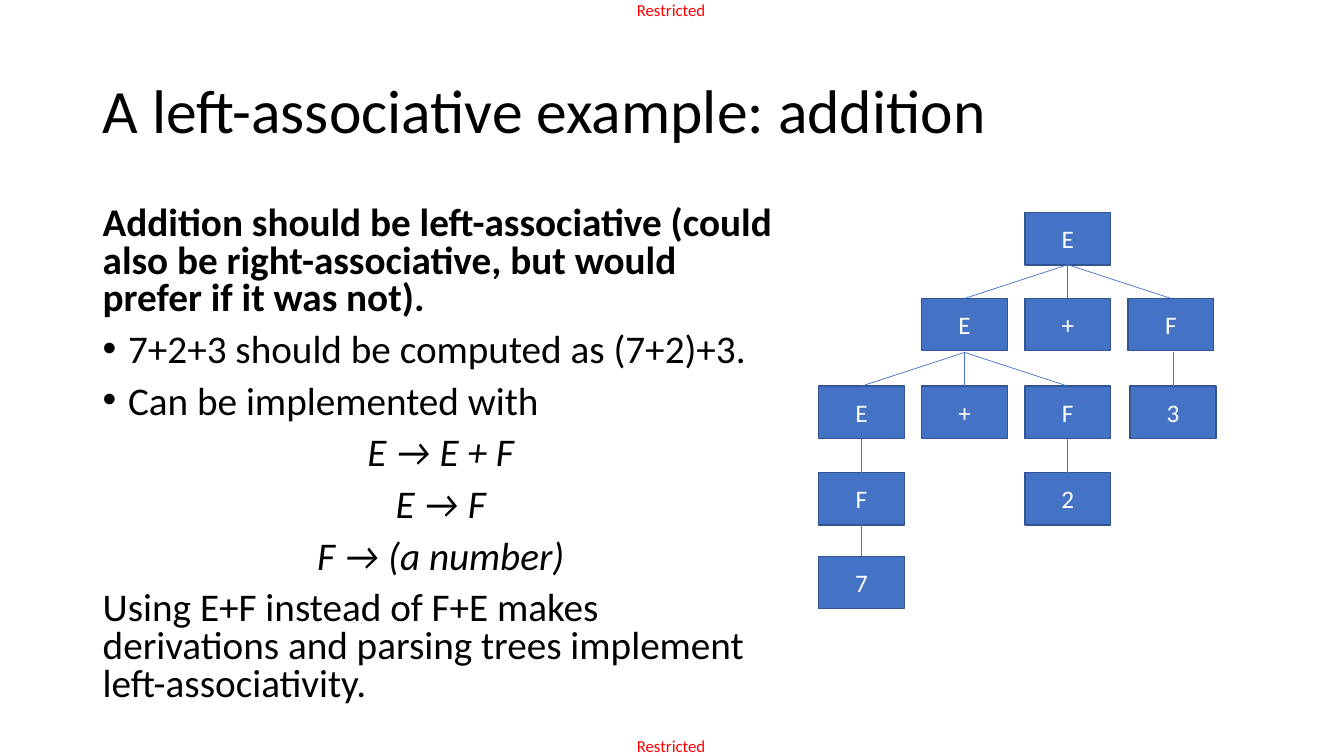
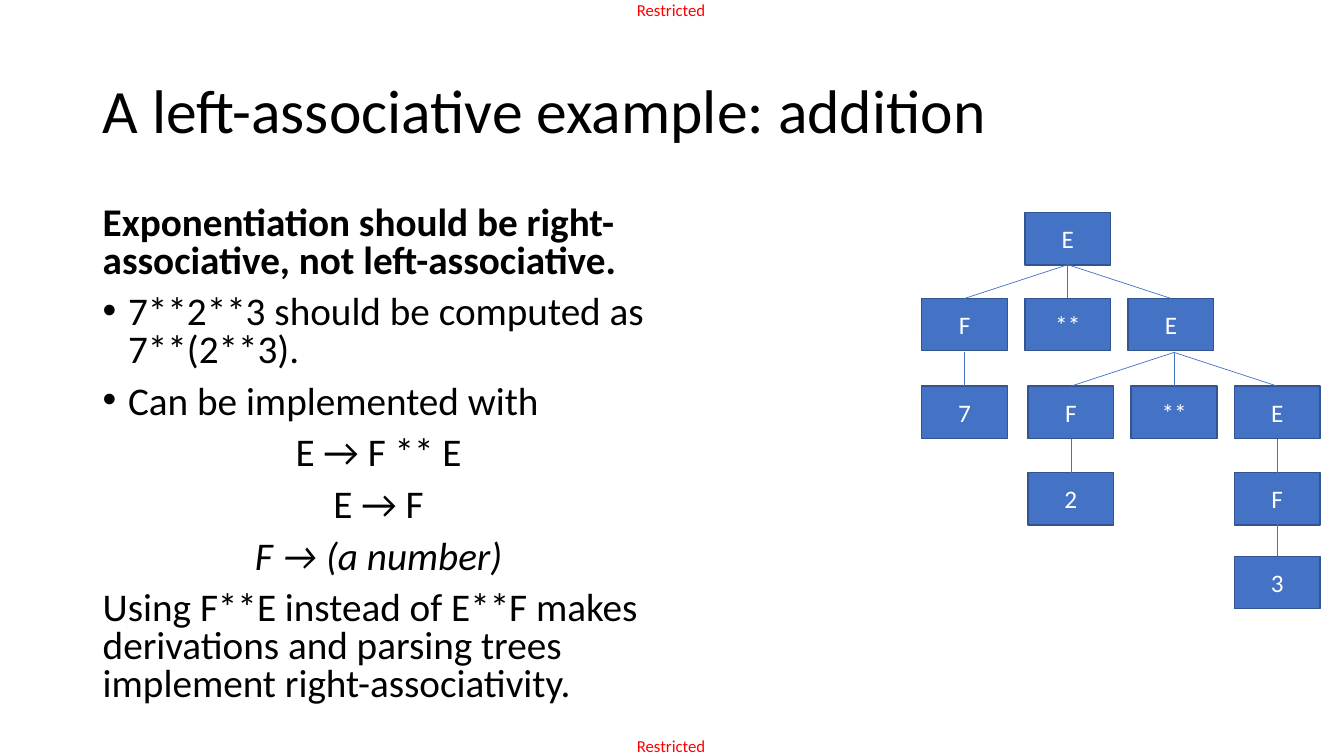
"""Build two slides on operator associativity, each with a parse tree."""
from lxml.etree import SubElement
from pptx import Presentation
from pptx.dml.color import RGBColor
from pptx.enum.shapes import MSO_CONNECTOR as Connector, MSO_SHAPE as Preset
from pptx.enum.text import MSO_ANCHOR as Anchor, PP_ALIGN as Align
from pptx.oxml.ns import qn
from pptx.util import Cm, Pt

FONT = "Calibri"
BLACK, WHITE, RED = "000000", "FFFFFF", "FF0000"
NODE_FILL, NODE_BORDER = "4472C4", "325491"

LEFT = 2.34
NODE_WIDTH, NODE_HEIGHT = 2.16, 1.32
TREE_LEFT, COLUMN_STEP = 20.63, 2.6
ROW_TOPS = [5.36, 7.52, 9.73, 11.91, 14.02]
EDGE_HEIGHT = 0.85
BULLET_INDENT = 0.64

TITLE = "A left-associative example: addition"
MARKING = "Restricted"
MARKING_TOPS = [0, 18.54]

PARAGRAPH_STYLES = {
    "lead": ({}, {"bold": True}),
    "bullet": ({}, {}),
    "rule": ({"alignment": Align.CENTER}, {}),
    "italic rule": ({"alignment": Align.CENTER}, {"italic": True}),
    "plain": ({}, {}),
}

ADDITION_TEXT = [
    ("lead", "Addition should be left-associative (could also be "
             "right-associative, but would prefer if it was not)."),
    ("bullet", "7+2+3 should be computed as (7+2)+3."),
    ("bullet", "Can be implemented with"),
    ("italic rule", "E → E + F"),
    ("italic rule", "E → F"),
    ("italic rule", "F → (a number)"),
    ("plain", "Using E+F instead of F+E makes derivations and parsing trees "
              "implement left-associativity."),
]
EXPONENTIATION_TEXT = [
    ("lead", "Exponentiation should be right-associative, "
             "not left-associative."),
    ("bullet", "7**2**3 should be computed as 7**(2**3)."),
    ("bullet", "Can be implemented with"),
    ("rule", "E → F ** E"),
    ("rule", "E → F"),
    ("italic rule", "F → (a number)"),
    ("plain", "Using F**E instead of E**F makes derivations and parsing trees "
              "implement right-associativity."),
]

ADDITION_TREE = ("E", 2, [
    ("E", 1, [
        ("E", 0, [("F", 0, [("7", 0, [])])]),
        ("+", 1, []),
        ("F", 2, [("2", 2, [])]),
    ]),
    ("+", 2, []),
    ("F", 3, [("3", 3.02, [])]),
])
EXPONENTIATION_TREE = ("E", 2, [
    ("F", 1, [("7", 1, [])]),
    ("**", 2, []),
    ("E", 3, [
        ("F", 2.03, [("2", 2.03, [])]),
        ("**", 3.03, []),
        ("E", 4.03, [("F", 4.03, [("3", 4.03, [])])]),
    ]),
])


def color(code):
    """Turn a hex string into a colour."""
    return RGBColor.from_string(code)


def apply(target, values):
    """Set every attribute named in a dict of format values."""
    for name, value in values.items():
        setattr(target, name, value)


def write(paragraph, text, size, ink, **emphasis):
    """Add a run of text in the deck font."""
    run = paragraph.add_run()
    run.text = text
    apply(run.font, {"name": FONT, "size": Pt(size), **emphasis})
    run.font.color.rgb = color(ink)


def add_frame(slide, left, top, width, height, **layout):
    """Add a text box and return its text frame."""
    box = slide.shapes.add_textbox(Cm(left), Cm(top), Cm(width), Cm(height))
    apply(box.text_frame, {"word_wrap": True, **layout})
    return box.text_frame


def add_bullet(paragraph):
    """Give a paragraph a hanging bullet."""
    properties = paragraph._p.get_or_add_pPr()
    properties.set("marL", str(Cm(BULLET_INDENT)))
    properties.set("indent", str(-Cm(BULLET_INDENT)))
    SubElement(properties, qn("a:buFont")).set("typeface", "Arial")
    SubElement(properties, qn("a:buChar")).set("char", "•")


def add_marking(slide, top):
    """Add the classification marking at the given height."""
    frame = add_frame(slide, 16.05, top, 1.85, 0.51, word_wrap=False,
                      margin_left=0, margin_right=0,
                      margin_top=0, margin_bottom=0)
    write(frame.paragraphs[0], MARKING, 12, RED)


def add_title(slide):
    """Add the slide title."""
    frame = add_frame(slide, LEFT, 1.02, 29.21, 3.68,
                      vertical_anchor=Anchor.MIDDLE)
    frame.paragraphs[0].line_spacing = 0.9
    write(frame.paragraphs[0], TITLE, 44, BLACK)


def add_body(slide, passages, width):
    """Add the explanation beside the tree."""
    frame = add_frame(slide, LEFT, 5.08, width, 13.97)
    for index, (style, text) in enumerate(passages):
        paragraph = frame.add_paragraph() if index else frame.paragraphs[0]
        if style == "bullet":
            add_bullet(paragraph)
        layout, emphasis = PARAGRAPH_STYLES[style]
        apply(paragraph, {"line_spacing": 0.8,
                          "space_before": Pt(10 if index else 0), **layout})
        write(paragraph, text, 28, BLACK, **emphasis)


def column_center(column):
    """Return the horizontal centre of a tree column."""
    return TREE_LEFT + column * COLUMN_STEP + NODE_WIDTH / 2


def add_node(slide, symbol, column, row):
    """Add one box of the parse tree."""
    node = slide.shapes.add_shape(
        Preset.RECTANGLE, Cm(column_center(column) - NODE_WIDTH / 2),
        Cm(ROW_TOPS[row]), Cm(NODE_WIDTH), Cm(NODE_HEIGHT))
    node.shadow.inherit = False
    node.fill.solid()
    node.fill.fore_color.rgb = color(NODE_FILL)
    node.line.color.rgb = color(NODE_BORDER)
    node.line.width = Pt(1)
    node.text_frame.vertical_anchor = Anchor.MIDDLE
    paragraph = node.text_frame.paragraphs[0]
    paragraph.alignment = Align.CENTER
    write(paragraph, symbol, 18, WHITE)


def add_edge(slide, start_column, end_column, row):
    """Add a line down to a node in the given row."""
    top = ROW_TOPS[row]
    edge = slide.shapes.add_connector(
        Connector.STRAIGHT, Cm(column_center(start_column)),
        Cm(top - EDGE_HEIGHT), Cm(column_center(end_column)), Cm(top))
    edge.line.color.rgb = color(NODE_FILL)
    edge.line.width = Pt(0.5)
    SubElement(edge._element.spPr, qn("a:effectLst"))


def add_tree(slide, tree, row=0):
    """Add a node, its subtrees and edges fanning out above their middle."""
    symbol, column, children = tree
    add_node(slide, symbol, column, row)
    for child in children:
        middle = sum(sibling[1] for sibling in children) / len(children)
        add_tree(slide, child, row + 1)
        add_edge(slide, middle, child[1], row + 1)


def add_example(deck, passages, body_width, tree):
    """Add one slide with its explanation and parse tree."""
    slide = deck.slides.add_slide(deck.slide_layouts[6])
    for top in MARKING_TOPS:
        add_marking(slide, top)
    add_title(slide)
    add_body(slide, passages, body_width)
    add_tree(slide, tree)


def main():
    """Build and save the deck."""
    deck = Presentation()
    apply(deck, {"slide_width": Cm(33.87), "slide_height": Cm(19.05)})
    add_example(deck, ADDITION_TEXT, 17.53, ADDITION_TREE)
    add_example(deck, EXPONENTIATION_TEXT, 14.4, EXPONENTIATION_TREE)
    deck.save("out.pptx")


if __name__ == "__main__":
    main()
